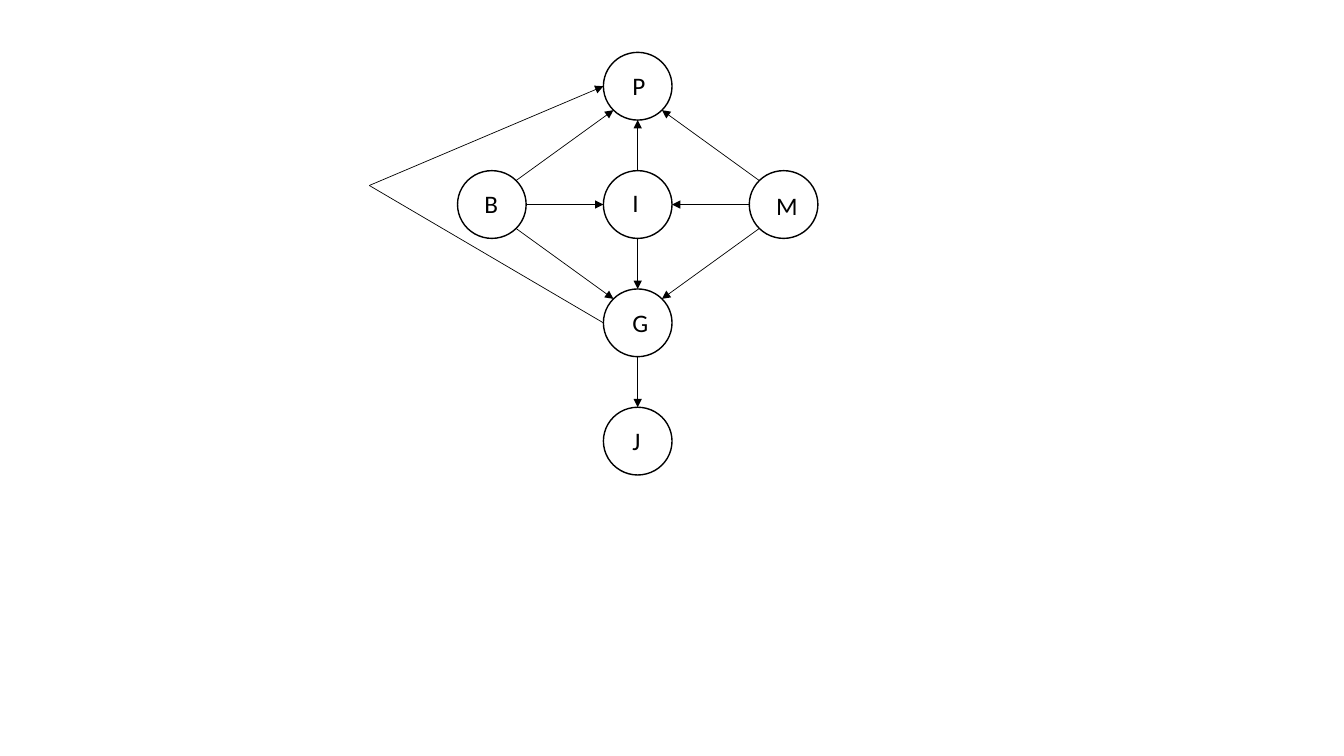
"""Draw a directed graph of six labelled nodes on one slide."""
from dataclasses import dataclass
from math import sqrt

from lxml.etree import SubElement
from pptx import Presentation
from pptx.dml.color import RGBColor
from pptx.enum.shapes import MSO_CONNECTOR, MSO_SHAPE
from pptx.enum.text import MSO_AUTO_SIZE
from pptx.oxml.ns import qn
from pptx.slide import Slide
from pptx.util import Pt

BLACK = RGBColor(0, 0, 0)
WIDTH, HEIGHT = 49, 48.4
LEFT, TOP = 351.3, 61.6
STEP_X, STEP_Y = 104.2, 84.5
Point = tuple[float, float]


@dataclass(frozen=True)
class Node:
    """A circle on the grid, with the inset of its label."""
    name: str
    col: int
    row: int
    dx: float = 13.7
    dy: float = 9.4

    @property
    def center(self) -> Point:
        """Return the middle of the circle."""
        return LEFT + self.col * STEP_X, TOP + self.row * STEP_Y

    def site(self, right: int, down: int) -> Point:
        """Return the point on the rim in one of eight directions."""
        x, y = self.center
        scale = sqrt(right ** 2 + down ** 2) * 2
        return x + right * WIDTH / scale, y + down * HEIGHT / scale


NODES = [
    Node("P", 1, 0),
    Node("B", 0, 1, dx=12.2),
    Node("I", 1, 1, dy=8.6),
    Node("M", 2, 1, dx=12.2, dy=10.8),
    Node("G", 1, 2),
    Node("J", 1, 3),
]
EDGES = ["IP", "BP", "MP", "IG", "GJ", "BG", "MG", "BI", "MI"]
CORNER = (263.8, 132.5)


def sign(value: int) -> int:
    """Return the sign of a number."""
    return (value > 0) - (value < 0)


def draw_node(slide: Slide, node: Node) -> None:
    """Draw a circle and its label."""
    x, y = node.center
    left, top = x - WIDTH / 2, y - HEIGHT / 2
    ring = slide.shapes.add_shape(
        MSO_SHAPE.FLOWCHART_CONNECTOR, Pt(left), Pt(top), Pt(WIDTH), Pt(HEIGHT))
    ring.shadow.inherit = False
    ring.fill.background()
    ring.line.color.rgb = BLACK
    ring.line.width = Pt(1)

    label = slide.shapes.add_textbox(
        Pt(left + node.dx), Pt(top + node.dy), Pt(24.5), Pt(29))
    frame = label.text_frame
    frame.word_wrap = True
    frame.auto_size = MSO_AUTO_SIZE.SHAPE_TO_FIT_TEXT
    frame.text = node.name
    font = frame.paragraphs[0].runs[0].font
    font.name, font.size = "Calibri", Pt(18)
    font.color.rgb = BLACK


def draw_line(slide: Slide, start: Point, end: Point, arrow: bool = True) -> None:
    """Draw a thin line, with an arrowhead at its end if asked."""
    line = slide.shapes.add_connector(
        MSO_CONNECTOR.STRAIGHT, *(Pt(value) for value in start + end))
    line.line.color.rgb = BLACK
    line.line.width = Pt(0.5)
    if arrow:
        SubElement(line.line._get_or_add_ln(), qn("a:tailEnd"), type="triangle")
    SubElement(line._element.spPr, qn("a:effectLst"))


def draw_edge(slide: Slide, source: Node, target: Node) -> None:
    """Join the facing rims of two nodes."""
    right = sign(target.col - source.col)
    down = sign(target.row - source.row)
    draw_line(slide, source.site(right, down), target.site(-right, -down))


def main() -> None:
    """Build and save the slide."""
    deck = Presentation()
    deck.slide_width, deck.slide_height = Pt(960), Pt(540)
    slide = deck.slides.add_slide(deck.slide_layouts[6])
    graph = {node.name: node for node in NODES}
    for node in NODES:
        draw_node(slide, node)
    for start, end in EDGES:
        draw_edge(slide, graph[start], graph[end])
    draw_line(slide, graph["G"].site(-1, 0), CORNER, arrow=False)
    draw_line(slide, CORNER, graph["P"].site(-1, 0))
    deck.save("out.pptx")


main()
